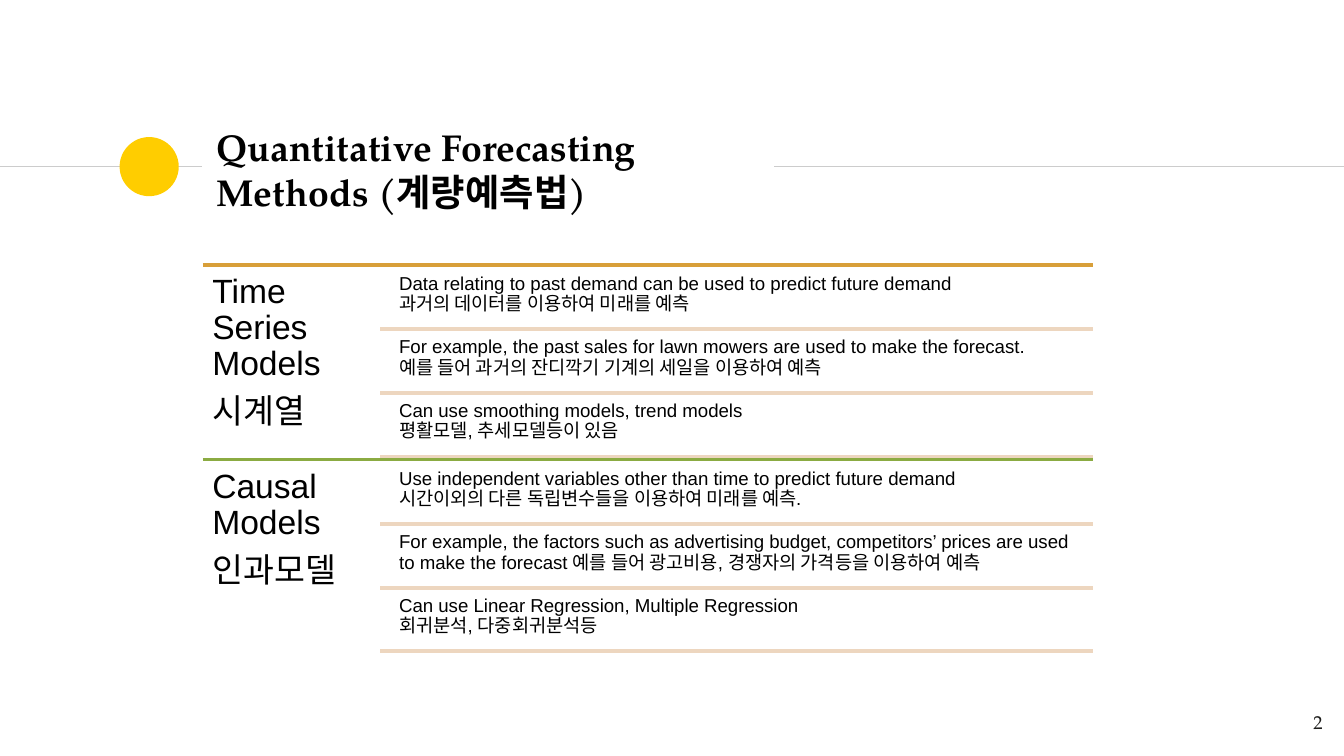
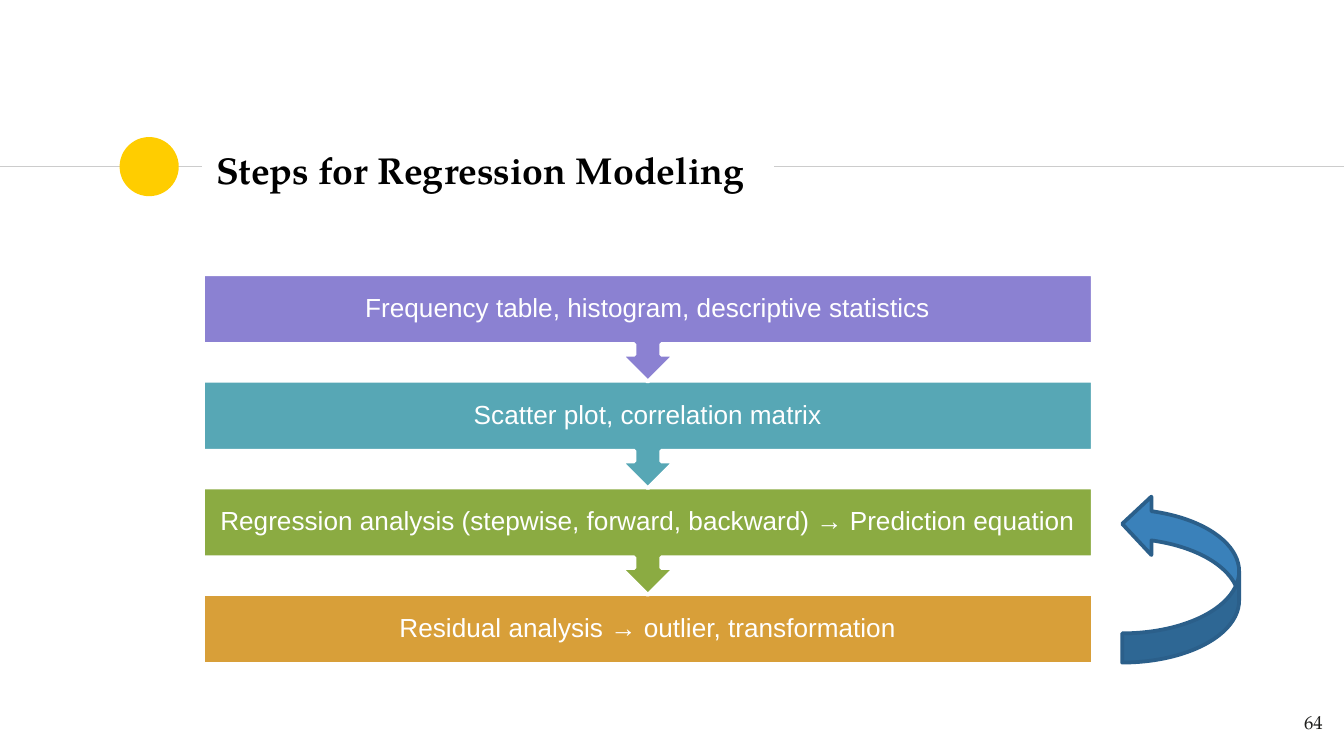
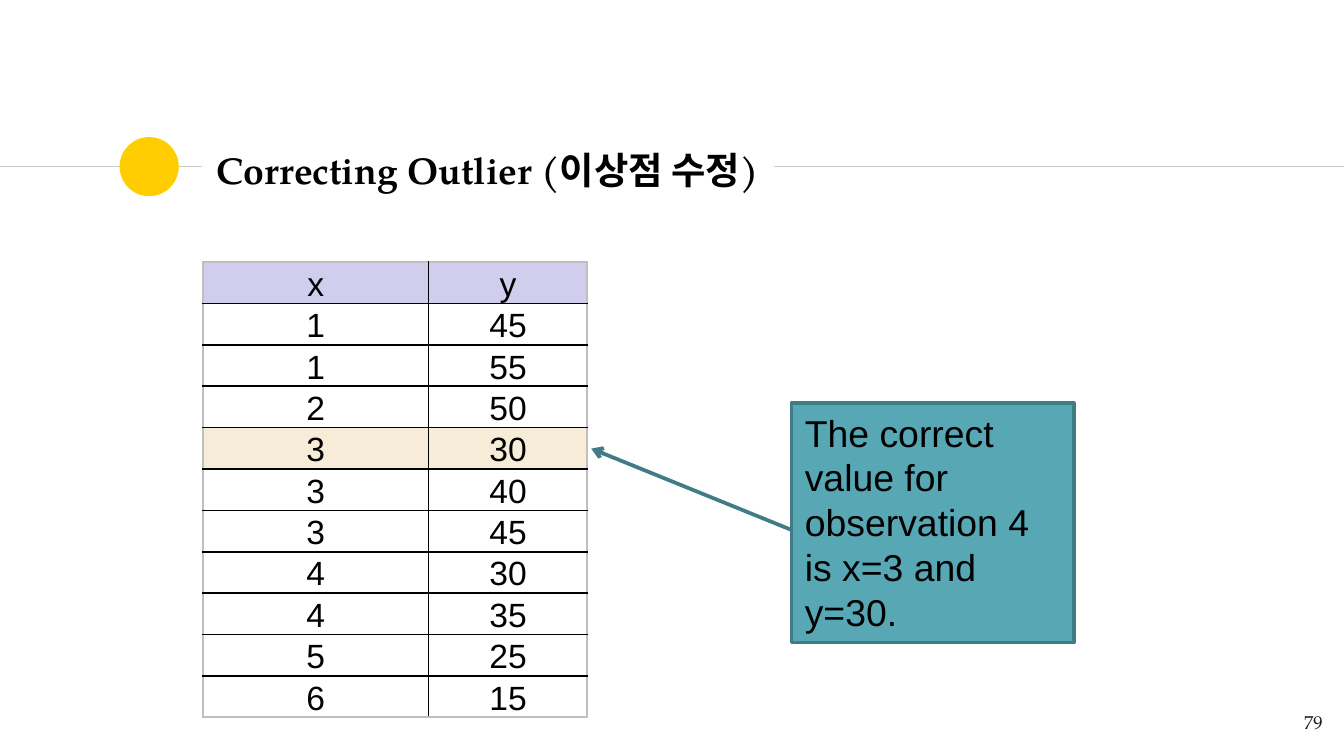
from lxml.etree import SubElement
from pptx import Presentation
from pptx.dml.color import RGBColor
from pptx.enum.shapes import MSO_CONNECTOR, MSO_SHAPE
from pptx.enum.text import MSO_ANCHOR, MSO_AUTO_SIZE, PP_ALIGN
from pptx.oxml.ns import qn
from pptx.util import Inches, Pt

SERIF, SANS = "TeX Gyre Pagella", "Arial"
BLACK, WHITE, INK = "000000", "FFFFFF", "1D1D1B"
GREY, EDGE, YELLOW = "CCCCCC", "BFBFBF", "FFCD00"
GOLD, GREEN, TEAL, VIOLET = "D89F39", "8BAB42", "57A7B5", "8B81D2"
SAND, BLUE, NAVY, PINE = "EDD6BF", "3A81BA", "2B5F8A", "407C86"
LILAC, CREAM = "D1CDED", "F7ECD7"
LEFT, WIDTH = 1.51, 6.62

MODELS = [
    (GOLD, ["Time Series Models", "시계열"], [
        "Data relating to past demand can be used to predict future demand\n과거의 데이터를 이용하여 미래를 예측",
        "For example, the past sales for lawn mowers are used to make the forecast.\n"
        "예를 들어 과거의 잔디깍기 기계의 세일을 이용하여 예측",
        "Can use smoothing models, trend models\n평활모델, 추세모델등이 있음",
    ]),
    (GREEN, ["Causal Models", "인과모델"], [
        "Use independent variables other than time to predict future demand\n"
        "시간이외의 다른 독립변수들을 이용하여 미래를 예측.",
        "For example, the factors such as advertising budget, competitors’ prices are used "
        "to make the forecast 예를 들어 광고비용, 경쟁자의 가격등을 이용하여 예측",
        "Can use Linear Regression, Multiple Regression\n회귀분석, 다중회귀분석등",
    ]),
]
STEPS = [
    (VIOLET, "Frequency table, histogram, descriptive statistics"),
    (TEAL, "Scatter plot, correlation matrix"),
    (GREEN, "Regression analysis (stepwise, forward, backward) → Prediction equation"),
    (GOLD, "Residual analysis → outlier, transformation"),
]
POINTS = [("x", "y"), (1, 45), (1, 55), (2, 50), (3, 30), (3, 40),
          (3, 45), (4, 30), (4, 35), (5, 25), (6, 15)]
FILLS = {0: LILAC, 4: CREAM}


def tint(code):
    return RGBColor.from_string(code)


def write(frame, texts, size, color=BLACK, font=SANS, align=PP_ALIGN.LEFT, bold=False, tight=False):
    for i, text in enumerate(texts):
        para = frame.paragraphs[0] if i == 0 else frame.add_paragraph()
        para.alignment = align
        if tight:
            para.line_spacing = 0.9
            para.space_after = Pt(size * 0.35)
        for j, part in enumerate(text.split("\n")):
            if j:
                para.add_line_break()
            run = para.add_run()
            run.text = part
            run.font.name, run.font.size, run.font.bold = font, Pt(size), bold
            run.font.color.rgb = tint(color)


def set_frame(frame, inset, anchor=MSO_ANCHOR.TOP):
    frame.word_wrap = True
    frame.auto_size = MSO_AUTO_SIZE.NONE
    frame.vertical_anchor = anchor
    frame.margin_left = frame.margin_right = Inches(inset)
    frame.margin_top = frame.margin_bottom = Inches(inset)


def add_text(slide, box, texts, size, inset, anchor=MSO_ANCHOR.TOP, **style):
    frame = slide.shapes.add_textbox(*map(Inches, box)).text_frame
    set_frame(frame, inset, anchor)
    write(frame, texts, size, **style)


def add_line(slide, left, right, y, color, width):
    line = slide.shapes.add_connector(
        MSO_CONNECTOR.STRAIGHT, Inches(left), Inches(y), Inches(right), Inches(y))
    line.line.color.rgb = tint(color)
    line.line.width = Pt(width)
    SubElement(line._element.spPr, qn("a:effectLst"))


def add_block(slide, kind, box, fill, edge=None, turn=0):
    block = slide.shapes.add_shape(kind, *map(Inches, box))
    block.shadow.inherit = False
    block.fill.solid()
    block.fill.fore_color.rgb = tint(fill)
    block.rotation = turn
    if edge:
        block.line.color.rgb = tint(edge)
        block.line.width = Pt(2)
    else:
        block.line.fill.background()
    return block


def start(deck, title, number):
    slide = deck.slides.add_slide(deck.slide_layouts[5])
    add_line(slide, 0, 1.5, 1.24, GREY, 0.75)
    add_block(slide, MSO_SHAPE.OVAL, (0.89, 1.02, 0.44, 0.44), YELLOW)
    add_line(slide, 5.76, 10, 1.24, GREY, 0.75)
    head = slide.shapes.title
    head.left, head.top, head.width, head.height = map(Inches, (LEFT, 1.02, 4.24, 0.48))
    set_frame(head.text_frame, 0.1, MSO_ANCHOR.MIDDLE)
    write(head.text_frame, [title], 20, font=SERIF, bold=True)
    add_text(slide, (9.34, 5.19, 0.6, 0.43), [number], 10, 0.1,
             color=INK, font=SERIF, align=PP_ALIGN.RIGHT)
    return slide


def add_model(slide, box, color, names, notes):
    left, top, width, height = box
    side, gap = 1.32, 0.03
    right = left + width
    add_line(slide, left, right, top, color, 2)
    add_text(slide, (left, top, side, height), names, 18, 0.07, tight=True)
    pitch = (height - gap) / len(notes)
    for i, note in enumerate(notes):
        y = top + gap + i * pitch
        add_text(slide, (left + side + 0.1, y, width - side - 0.1, 0.45), [note], 10, 0.04, tight=True)
        add_line(slide, left + side, right, y + 0.45, SAND, 2)


def add_steps(slide, box, steps):
    left, top, width, height = box
    bar = 0.52
    last = len(steps) - 1
    pitch = (height - bar) / last
    for i, (color, text) in reversed(list(enumerate(steps))):
        y = top + i * pitch
        if i == last:
            add_block(slide, MSO_SHAPE.RECTANGLE, (left, y, width, bar), color, WHITE)
        else:
            add_block(slide, MSO_SHAPE.UP_ARROW_CALLOUT, (left, y, width, 0.8), color, WHITE, 180)
        add_text(slide, (left, y, width, bar), [text], 14, 0.11, MSO_ANCHOR.MIDDLE,
                 color=WHITE, align=PP_ALIGN.CENTER, tight=True)


def add_edge(cell, side, color):
    line = SubElement(cell._tc.get_or_add_tcPr(), qn("a:" + side), w=str(Pt(1)))
    SubElement(SubElement(line, qn("a:solidFill")), qn("a:srgbClr"), val=color)


def add_grid(slide, box, rows, widths, fills):
    grid = slide.shapes.add_table(len(rows), len(widths), *map(Inches, box)).table
    grid.horz_banding = grid.first_row = False
    for col, width in zip(grid.columns, widths):
        col.width = Inches(width)
    for r, row in enumerate(rows):
        grid.rows[r].height = Inches(box[3] / len(rows))
        for c, value in enumerate(row):
            cell = grid.cell(r, c)
            cell.margin_left = cell.margin_right = cell.margin_top = Inches(0.01)
            cell.margin_bottom = 0
            cell.vertical_anchor = MSO_ANCHOR.BOTTOM
            write(cell.text_frame, [str(value)], 18, align=PP_ALIGN.CENTER)
            outer = {"lnL": c == 0, "lnR": c == len(widths) - 1,
                     "lnT": r == 0, "lnB": r == len(rows) - 1}
            for side, rim in outer.items():
                add_edge(cell, side, EDGE if rim else BLACK)
            if r in fills:
                cell.fill.solid()
                cell.fill.fore_color.rgb = tint(fills[r])
            else:
                cell.fill.background()


def add_callout(slide, box, text):
    note = add_block(slide, MSO_SHAPE.LINE_CALLOUT_1, box, TEAL, PINE)
    for i, value in enumerate((0.53, 0, 0.19, -0.71)):
        note.adjustments[i] = value
    SubElement(note.line._get_or_add_ln(), qn("a:tailEnd"), type="arrow")
    set_frame(note.text_frame, 0.1)
    note.text_frame.margin_top = note.text_frame.margin_bottom = Inches(0.05)
    write(note.text_frame, [text], 20)


def main():
    deck = Presentation()
    deck.slide_width = Inches(10)
    deck.slide_height = deck.slide_width * 9 // 16

    slide = start(deck, "Quantitative Forecasting Methods (계량예측법)", "2")
    for i, model in enumerate(MODELS):
        add_model(slide, (LEFT, 1.97 + i * 1.45, WIDTH, 1.45), *model)

    slide = start(deck, "Steps for Regression Modeling", "64")
    add_steps(slide, (LEFT, 2.04, WIDTH, 2.9), STEPS)
    add_block(slide, MSO_SHAPE.CURVED_UP_ARROW, (8.16, 3.87, 1.25, 0.87), BLUE, NAVY, 270)

    slide = start(deck, "Correcting Outlier (이상점 수정)", "79")
    add_grid(slide, (LEFT, 1.95, 2.86, 3.39), POINTS, (1.68, 1.18), FILLS)
    add_callout(slide, (5.89, 3, 2.1, 1.78), "The correct value for observation 4 is x=3 and y=30.")

    deck.save("out.pptx")


if __name__ == "__main__":
    main()
